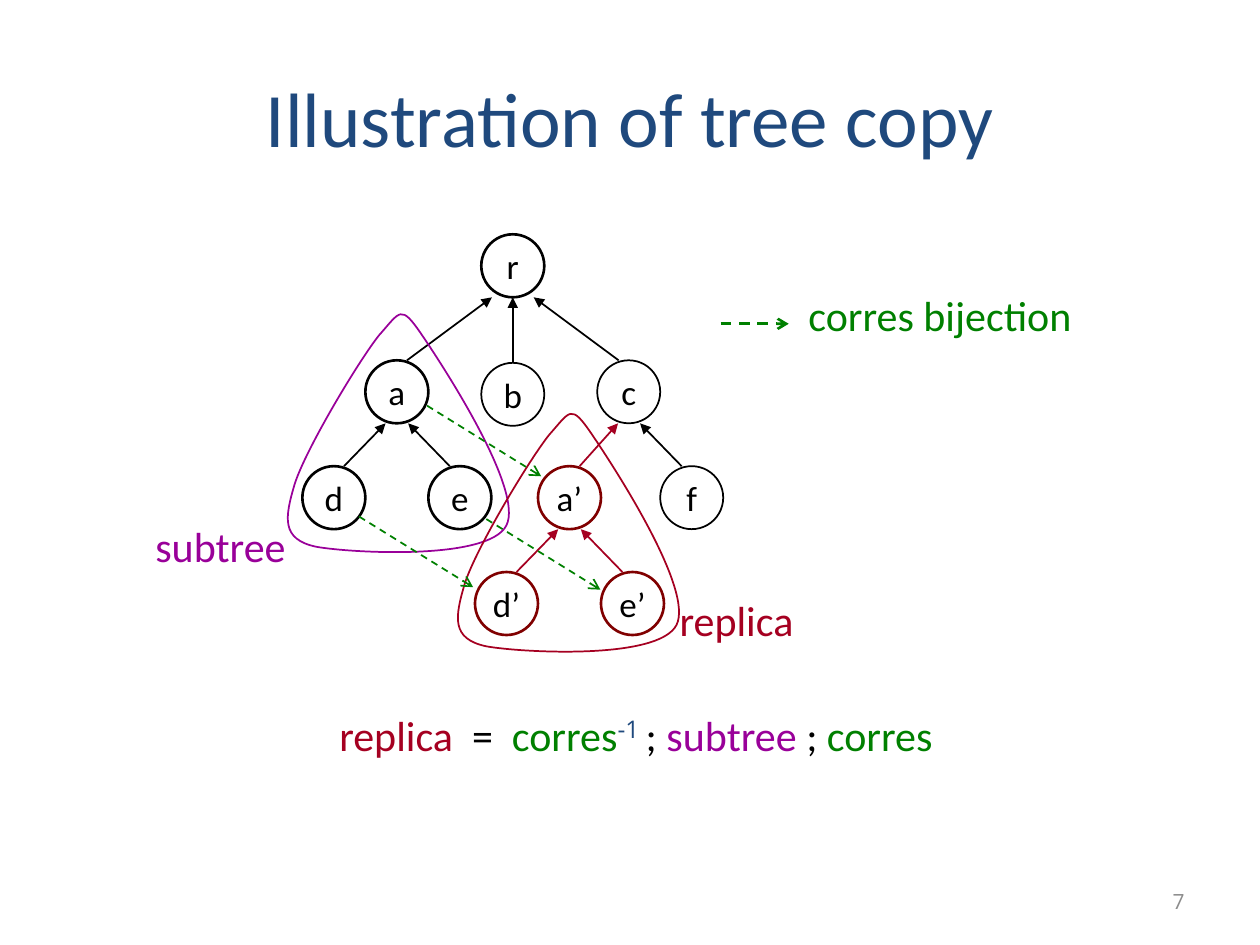
from dataclasses import dataclass
from lxml import etree
from pptx import Presentation
from pptx.dml.color import RGBColor
from pptx.enum.dml import MSO_LINE
from pptx.enum.shapes import MSO_CONNECTOR, MSO_SHAPE
from pptx.enum.text import MSO_ANCHOR, PP_ALIGN
from pptx.oxml.ns import qn
from pptx.util import Inches, Pt

STRAIGHT, OVAL = MSO_CONNECTOR.STRAIGHT, MSO_SHAPE.OVAL
CENTER, RIGHT = PP_ALIGN.CENTER, PP_ALIGN.RIGHT
TOP, MIDDLE = MSO_ANCHOR.TOP, MSO_ANCHOR.MIDDLE
DASH = MSO_LINE.DASH


@dataclass(frozen=True)
class Theme:
    font: str = "Calibri"
    alt_font: str = "Open Sans"
    title_size: int = 44
    label_size: int = 24
    node_size: int = 20
    number_size: int = 12
    hairline: float = 0.75
    thin: float = 1
    thick: float = 1.5
    ink: str = "000000"
    paper: str = "FFFFFF"
    title: str = "1F497D"
    number: str = "8C8C8C"
    subtree: str = "990099"
    replica: str = "A50021"
    replica_node: str = "800000"
    corres: str = "008000"


@dataclass(frozen=True)
class Box:
    col: float
    row: float
    cols: float
    rows: float

    def sub(self, col, row, cols, rows):
        return Box(self.col + col, self.row + row, cols, rows)

    def point(self, col, row):
        return unit(self.col + col), unit(self.row + row)

    def rect(self):
        return [unit(v) for v in (self.col, self.row, self.cols, self.rows)]


T = Theme()
COLS, ROWS = 100, 75
NODE = 5
NODES = {
    "r": (18.4, 2.5, T.ink, T.thick),
    "a": (9.2, 12.5, T.ink, T.thick),
    "b": (18.4, 12.7, T.ink, T.thin),
    "c": (27.6, 12.5, T.ink, T.thin),
    "d": (4.2, 20.9, T.ink, T.thick),
    "e": (14.2, 20.9, T.ink, T.thick),
    "f": (32.6, 20.9, T.ink, T.thin),
    "a’": (22.9, 20.9, T.replica_node, T.thick),
    "d’": (17.9, 29.3, T.replica_node, T.thick),
    "e’": (27.9, 29.3, T.replica_node, T.thick),
}
PARENTS = {"a": "r", "b": "r", "c": "r", "d": "a", "e": "a", "f": "c",
           "a’": "c", "d’": "a’", "e’": "a’"}
CORRES_STARTS = [(16.3, 22.6), (11.6, 13.6), (6.2, 22.4)]
CORRES_STEP = (9.05, 5.6)
DOTS = [(22.6, 20.1), (29.5, 16.7)]
OUTLINE = [
    (7.8, 2.5), (6.2, 4.5), (2, 11.5), (1.1, 14.3),
    (0.3, 17), (0, 18.7), (2.8, 19.3),
    (5.6, 19.8), (16.5, 20.4), (17.9, 17.6),
    (19.3, 14.8), (12.9, 5), (11.2, 2.5),
    (9.5, 0), (9.5, 0.6), (7.8, 2.5),
]


def unit(v):
    return Inches(v / 10)


def rgb(color):
    return RGBColor.from_string(color)


def add_run(p, text, size=T.label_size, color=T.ink, font=T.font, raised=0):
    r = p.add_run()
    r.text = text
    r.font.size, r.font.name = Pt(size), font
    r.font.color.rgb = rgb(color)
    if raised:
        r.font._element.set("baseline", str(raised * 1000))


def add_text(slide, box, runs, align=CENTER, anchor=TOP):
    tf = slide.shapes.add_textbox(*box.rect()).text_frame
    tf.word_wrap, tf.vertical_anchor = True, anchor
    p = tf.paragraphs[0]
    p.alignment = align
    for text, fmt in runs:
        add_run(p, text, **fmt)


def add_line(slide, box, start, end, color, head="triangle", width=T.thin, dash=None):
    sp = slide.shapes.add_connector(STRAIGHT, *box.point(*start), *box.point(*end))
    sp.line.color.rgb, sp.line.width = rgb(color), Pt(width)
    if dash:
        sp.line.dash_style = dash
    if head:
        etree.SubElement(sp.line._get_or_add_ln(), qn("a:tailEnd"), type=head)
    etree.SubElement(sp._element.spPr, qn("a:effectLst"))


def add_node(slide, box, name):
    x, y, color, width = NODES[name]
    rect = box.sub(x - NODE / 2, y - NODE / 2, NODE, NODE).rect()
    sp = slide.shapes.add_shape(OVAL, *rect)
    sp.shadow.inherit = False
    sp.fill.solid()
    sp.fill.fore_color.rgb = rgb(T.paper)
    sp.line.color.rgb, sp.line.width = rgb(color), Pt(width)
    tf = sp.text_frame
    tf.margin_left = tf.margin_right = tf.margin_top = tf.margin_bottom = 0
    tf.word_wrap, tf.vertical_anchor = False, MIDDLE
    p = tf.paragraphs[0]
    p.alignment = CENTER
    add_run(p, name, size=T.node_size)


def add_edge(slide, box, child, parent):
    (cx, cy), (px, py) = NODES[child][:2], NODES[parent][:2]
    dx = px - cx
    lean = 0.8 * ((dx > 0) - (dx < 0))
    color = T.replica if "’" in child else T.ink
    start = (cx + lean, cy - NODE / 2)
    end = (px - 0.18 * dx, py + NODE / 2)
    add_line(slide, box, start, end, color)


def add_outline(slide, box, color):
    builder = slide.shapes.build_freeform(*box.point(*OUTLINE[0]))
    builder.add_line_segments([box.point(*p) for p in OUTLINE[1:]], close=True)
    sp = builder.convert_to_shape()
    lines = list(sp._element.iter(qn("a:lnTo")))
    for i in range(0, len(lines), 3):
        curve = etree.Element(qn("a:cubicBezTo"))
        lines[i].addprevious(curve)
        for line in lines[i:i + 3]:
            curve.append(line[0])
            line.getparent().remove(line)
    sp.shadow.inherit = False
    sp.fill.background()
    sp.line.color.rgb, sp.line.width = rgb(color), Pt(T.thin)


def add_tree(slide, box):
    for dot in DOTS:
        add_line(slide, box, dot, dot, T.ink, head=None, width=T.hairline)
    for name in NODES:
        add_node(slide, box, name)
    for child, parent in PARENTS.items():
        add_edge(slide, box, child, parent)
    add_outline(slide, box.sub(0, 5.5, 19.3, 20.4), T.subtree)
    add_outline(slide, box.sub(13.5, 13.4, 19.3, 20.4), T.replica)
    add_text(slide, box.sub(-13.1, 22.2, 16.6, 4.8), [("subtree", {"color": T.subtree})])
    add_text(slide, box.sub(30.2, 28.1, 11.9, 5.3), [("replica", {"color": T.replica})])
    for x, y in CORRES_STARTS:
        end = (x + CORRES_STEP[0], y + CORRES_STEP[1])
        add_line(slide, box, (x, y), end, T.corres, head="arrow", dash=DASH)


def add_legend(slide, box):
    add_line(slide, box, (0, 3.2), (5.4, 3.2), T.corres,
             head="arrow", width=T.thick, dash=DASH)
    add_text(slide, box.sub(5.3, 0, box.cols - 5.3, box.rows),
             [("corres bijection", {"color": T.corres})])


def add_formula(slide, box):
    add_text(slide, box, [
        ("replica", {"color": T.replica}),
        ("  =  ", {}),
        ("corres", {"color": T.corres}),
        ("-1 ", {"color": T.title, "font": T.alt_font, "raised": 30}),
        ("; ", {}),
        ("subtree ", {"color": T.subtree}),
        ("; ", {}),
        ("corres ", {"color": T.corres}),
    ])


def add_title(slide, box, text):
    sp = slide.shapes.title
    sp.left, sp.top, sp.width, sp.height = box.rect()
    sp.text_frame.vertical_anchor = MIDDLE
    p = sp.text_frame.paragraphs[0]
    p.alignment = CENTER
    add_run(p, text, size=T.title_size, color=T.title)


def add_number(slide, box, text):
    fmt = {"size": T.number_size, "color": T.number, "font": T.alt_font}
    add_text(slide, box, [(text, fmt)], align=RIGHT, anchor=MIDDLE)


prs = Presentation()
prs.slide_width, prs.slide_height = unit(COLS), unit(ROWS)
slide = prs.slides.add_slide(prs.slide_layouts[5])
page = Box(0, 0, COLS, ROWS)
add_title(slide, page.sub(5, 3, 90, 12.5), "Illustration of tree copy")
add_tree(slide, page.sub(22.3, 18.6, 35.1, 33.8))
add_legend(slide, page.sub(57.2, 22.5, 29.5, 5))
add_formula(slide, page.sub(16.7, 55.8, 68.3, 5))
add_number(slide, page.sub(71.7, 69.5, 23.3, 4), "7")
prs.save("out.pptx")
